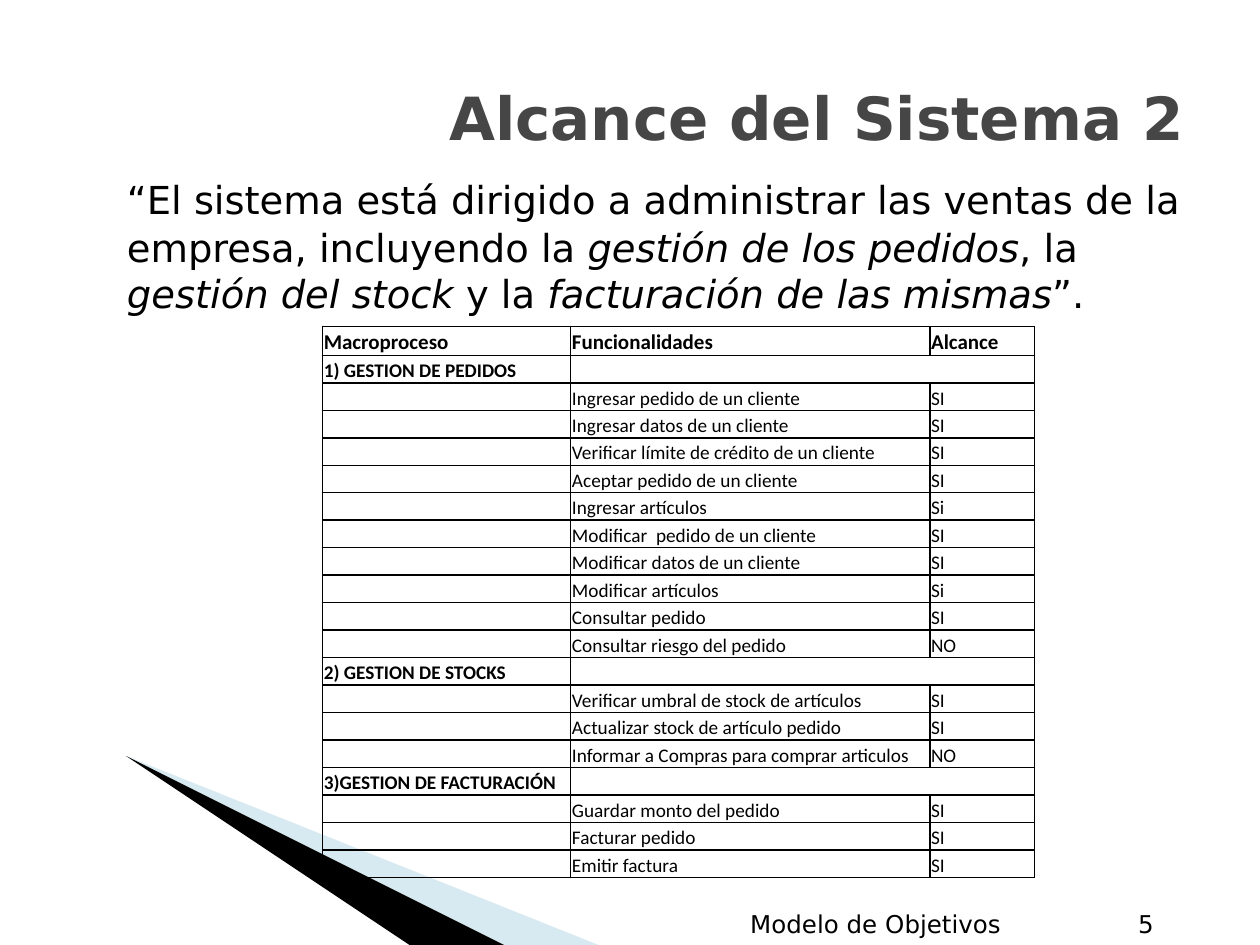
from dataclasses import dataclass

from lxml import etree
from pptx import Presentation
from pptx import util as u
from pptx.dml import color
from pptx.enum import text
from pptx.oxml import ns

WIDTH, HEIGHT = 10, 7.5
SANS, TABLE_FONT = "DejaVu Sans", "Calibri"
BLACK, GREY, PALE_BLUE = "000000", "464646", "9FCBDC"


@dataclass
class Wedge:
    points: list[tuple[float, float]]
    colour: str
    opacity: int = 100


@dataclass
class Label:
    words: list[tuple[str, bool]]  # text, italic
    box: tuple[float, float, float, float]
    size: int
    align: text.PP_ALIGN
    anchor: text.MSO_ANCHOR
    colour: str = BLACK
    bold: bool = False


@dataclass
class Macroprocess:
    name: str
    functions: list[tuple[str, str]]  # function, in scope


def rgb(value: str) -> color.RGBColor:
    return color.RGBColor.from_string(value)


def set_font(font, name: str, size: float, colour: str, bold: bool) -> None:
    font.name, font.size, font.bold = name, u.Pt(size), bold
    font.color.rgb = rgb(colour)


def draw_wedge(slide, wedge: Wedge) -> None:
    start, *rest = wedge.points
    builder = slide.shapes.build_freeform(*start, scale=u.Inches(1))
    builder.add_line_segments(rest)
    shape = builder.convert_to_shape()
    shape.shadow.inherit = False
    shape.line.fill.background()
    shape.fill.solid()
    shape.fill.fore_color.rgb = rgb(wedge.colour)
    if wedge.opacity < 100:
        tint = shape.fill._xPr.find(".//" + ns.qn("a:srgbClr"))
        etree.SubElement(tint, ns.qn("a:alpha"), val=str(wedge.opacity * 1000))


def draw_label(slide, label: Label):
    frame = slide.shapes.add_textbox(*map(u.Inches, label.box)).text_frame
    frame.word_wrap = True
    frame.vertical_anchor = label.anchor
    paragraph = frame.paragraphs[0]
    paragraph.alignment = label.align
    set_font(paragraph.font, SANS, label.size, label.colour, label.bold)
    for words, italic in label.words:
        run = paragraph.add_run()
        run.text = words
        if italic:
            run.font.italic = True
    return paragraph


def style_cell(cell, words: str, size: int, bold: bool) -> None:
    cell.vertical_anchor = text.MSO_ANCHOR.BOTTOM
    cell.margin_left = cell.margin_right = cell.margin_top = u.Inches(0.01)
    cell.margin_bottom = 0
    cell.fill.background()
    paragraph = cell.text_frame.paragraphs[0]
    if words:
        paragraph.text = words
        set_font(paragraph.font, TABLE_FONT, size, BLACK, bold)
    else:
        # An empty cell takes its line height from the end mark
        etree.SubElement(paragraph._p, ns.qn("a:endParaRPr"), sz=str(size * 100))
    properties = cell._tc.get_or_add_tcPr()
    for place, side in enumerate("LRTB"):
        border = etree.Element(ns.qn(f"a:ln{side}"), w=str(u.Pt(1)))
        fill = etree.SubElement(border, ns.qn("a:solidFill"))
        etree.SubElement(fill, ns.qn("a:srgbClr"), val=BLACK)
        properties.insert(place, border)


def draw_scope(slide, header: tuple, processes: list[Macroprocess]) -> None:
    left, top, height, header_height = 2.56, 2.59, 4.38, 0.23
    columns = (1.97, 2.85, 0.83)
    rows = [header]
    for process in processes:
        rows.append((process.name, "", ""))
        rows += [("", *function) for function in process.functions]
    table = slide.shapes.add_table(
        len(rows), len(columns), u.Inches(left), u.Inches(top),
        u.Inches(sum(columns)), u.Inches(height)).table
    table.first_row = table.horz_banding = False
    for column, width in zip(table.columns, columns):
        column.width = u.Inches(width)
    row_height = (height - header_height) / (len(rows) - 1)
    for r, row in enumerate(rows):
        table.rows[r].height = u.Inches(row_height if r else header_height)
        for c, words in enumerate(row):
            style_cell(table.cell(r, c), words, 11 if r else 12, bool(row[0]))
        if not row[1]:
            table.cell(r, 1).merge(table.cell(r, 2))


deck = Presentation()
deck.slide_width, deck.slide_height = u.Inches(WIDTH), u.Inches(HEIGHT)
slide = deck.slides.add_slide(deck.slide_layouts[6])

# Corner wedges
WEDGES = [
    Wedge([(0.55, 6.5), (5.93, HEIGHT), (4.56, HEIGHT)], PALE_BLUE, 40),
    Wedge([(0.53, 6.49), (4.54, HEIGHT), (3.68, HEIGHT)], BLACK),
]
for wedge in WEDGES:
    draw_wedge(slide, wedge)

# Title
align, anchor = text.PP_ALIGN, text.MSO_ANCHOR
draw_label(slide, Label([("Alcance del Sistema 2", False)], (0.5, 0.3, 9, 1.25),
                        34, align.RIGHT, anchor.MIDDLE, GREY, True))

# Statement of scope, with a hanging indent
statement = draw_label(slide, Label([
    ("\t", False),
    ("“El sistema está dirigido a administrar las ventas de la empresa, "
     "incluyendo la ", False),
    ("gestión de los pedidos", True),
    (", la ", False),
    ("gestión del stock ", True),
    ("y la ", False),
    ("facturación de las mismas", True),
    ("”.", False),
], (0.51, 1.31, 9, 1.18), 22, align.LEFT, anchor.TOP))
statement.runs[0].font.size = u.Pt(25)
statement.space_before = u.Pt(2)
indents = statement._p.get_or_add_pPr()
indents.set("marL", str(u.Inches(0.4)))
indents.set("indent", str(u.Inches(-0.28)))

# Footer
for words, left, width in (("5", 8.7, 0.79), ("Modelo de Objetivos", 5.75, 2.4)):
    draw_label(slide, Label([(words, False)], (left, 7.1, width, 0.4),
                            14, align.CENTER, anchor.BOTTOM))

# Scope table
draw_scope(slide, ("Macroproceso", "Funcionalidades", "Alcance"), [
    Macroprocess("1) GESTION DE PEDIDOS", [
        ("Ingresar pedido de un cliente", "SI"),
        ("Ingresar datos de un cliente", "SI"),
        ("Verificar límite de crédito de un cliente", "SI"),
        ("Aceptar pedido de un cliente", "SI"),
        ("Ingresar artículos", "Si"),
        ("Modificar  pedido de un cliente", "SI"),
        ("Modificar datos de un cliente", "SI"),
        ("Modificar artículos", "Si"),
        ("Consultar pedido", "SI"),
        ("Consultar riesgo del pedido", "NO"),
    ]),
    Macroprocess("2) GESTION DE STOCKS", [
        ("Verificar umbral de stock de artículos", "SI"),
        ("Actualizar stock de artículo pedido", "SI"),
        ("Informar a Compras para comprar articulos", "NO"),
    ]),
    Macroprocess("3)GESTION DE FACTURACIÓN", [
        ("Guardar monto del pedido", "SI"),
        ("Facturar pedido", "SI"),
        ("Emitir factura", "SI"),
    ]),
])

deck.save("out.pptx")
